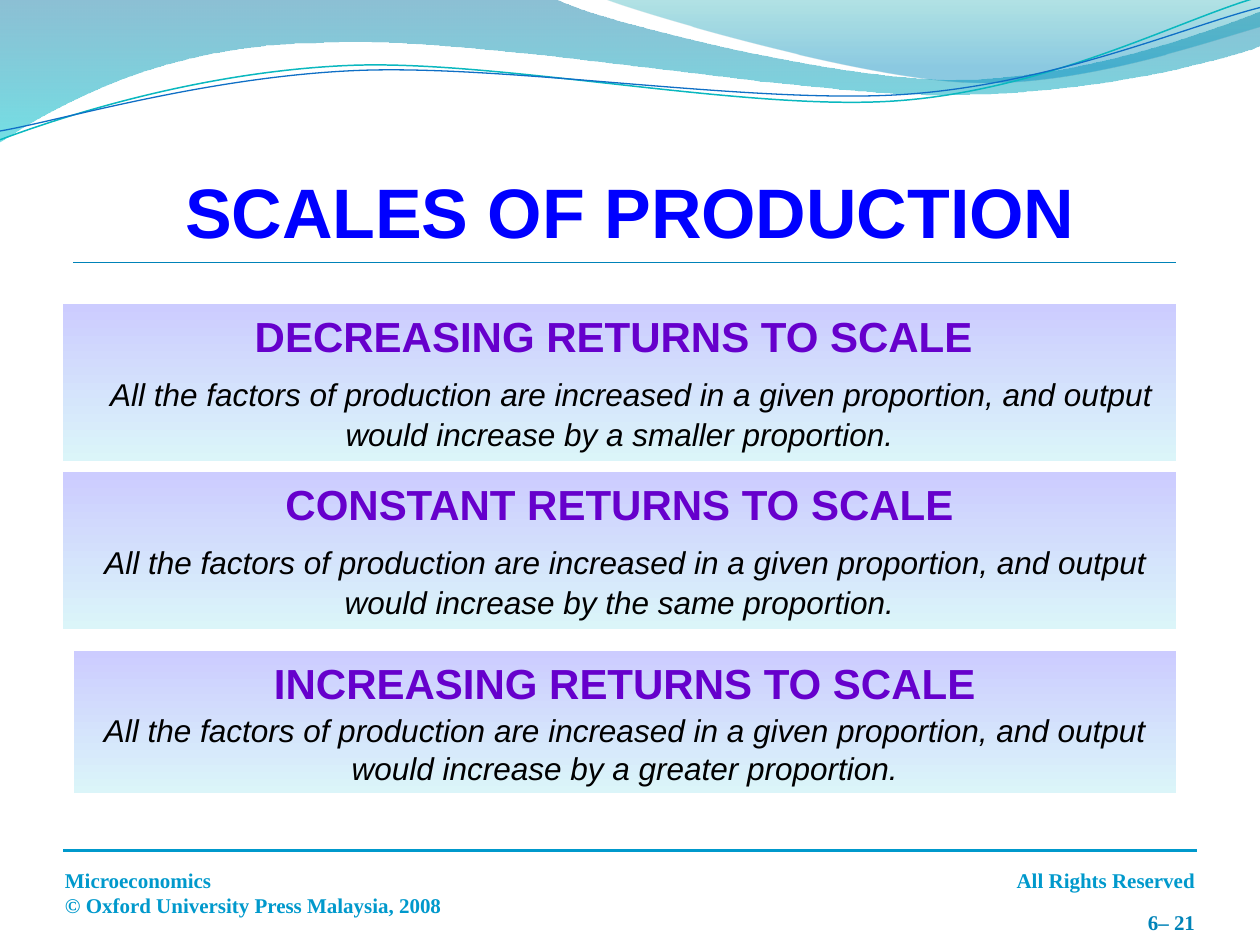
from lxml import etree
from pptx import Presentation
from pptx import util as u
from pptx.dml.color import RGBColor
from pptx.enum import shapes, text
from pptx.oxml.ns import qn

WIDTH, HEIGHT = 10, 7.5
GRID = 12  # columns and rows to the inch
COLORS = {
    "title": "0000FF", "heading": "6600CC", "body": "000000",
    "footer": "0099CC", "accent": "0083B8",
    "panel_top": "CCCCFF", "panel_bottom": "DBF5F9",
    "wave_blue": "0074A1", "wave_cyan": "00C6CF",
    "crest_teal": "00A1A9", "crest_blue": "008BBF",
    "line_teal": "0AB8BF", "line_blue": "0F6FC6",
}
LEFT, CENTER, RIGHT = text.PP_ALIGN.LEFT, text.PP_ALIGN.CENTER, text.PP_ALIGN.RIGHT

# Outlines in inches: a pair is a straight step, six numbers are a Bezier step.
WAVES = [
    ([(0, -0.01), (4.4, -0.01), (4.76, 0.17, 6.64, 0.63, 7.58, 0.63),
      (8.53, 0.63, 9.58, 0.26, 10, 0.09), (10.01, 0.36),
      (9.83, 0.44, 8.7, 0.76, 7.46, 0.75), (6.22, 0.75, 3.82, 0.28, 2.57, 0.34),
      (1.29, 0.35, 0.46, 0.83, -0.01, 1.13)],
     [(0, "wave_blue", 45), (1, "wave_cyan", 55)]),
    ([(4.79, -0.01), (5.09, 0.11, 6.82, 0.62, 7.69, 0.65),
      (8.56, 0.69, 9.61, 0.32, 10, 0.21), (10, 0)],
     [(0, "crest_teal", 30), (0.8, "crest_blue", 45)]),
]
RIPPLES = [
    ([(0, 1.11), (0.48, 0.93, 1.58, 0.57, 2.77, 0.52),
      (3.95, 0.47, 5.93, 0.89, 7.13, 0.8), (8.33, 0.71, 9.38, 0.15, 9.98, -0.02)],
     "line_teal", 0.85),
    ([(0, 1.04), (0.47, 0.96, 1.64, 0.61, 2.83, 0.56),
      (4.03, 0.51, 5.97, 0.83, 7.17, 0.75), (8.36, 0.67, 9.41, 0.21, 10, 0.06)],
     "line_blue", 0.75),
]
# first column, last column, row, colour, width in points
RULES = [(6, 114, 81, "footer", 1.25), (7, 112, 25, "accent", 0.75)]

FOOTER_FONT = {"name": "Times New Roman", "size": u.Pt(12), "bold": True}
TITLE_FONT = {"name": "Arial", "size": u.Pt(40), "bold": True}
HEADING_FONT = {"name": "Arial", "size": u.Pt(24), "bold": True}
BODY_FONT = {"name": "Arial", "size": u.Pt(18), "bold": False, "italic": True}
# column, row, columns wide, rows high
LABELS = [
    ((91, 82, 24, 3), ["All Rights Reserved"], RIGHT, FOOTER_FONT, "footer"),
    ((5, 82, 74, 6),
     ["Microeconomics", "© Oxford University Press Malaysia, 2008"],
     LEFT, FOOTER_FONT, "footer"),
    ((107.8, 86, 7.2, 3.6), ["6– 21"], RIGHT, FOOTER_FONT, "accent"),
]
TITLE = "SCALES OF PRODUCTION"
TITLE_BOX = (6, 15, 108, 9)

BODY = ("All the factors of production are increased in a given proportion, "
        "and output would increase by {} proportion.")
PANEL_RIGHT = 112
# column, row, rows high, heading, proportion, then points: space before, pitch, indent
PANELS = [
    (6, 29, 14.9, "DECREASING RETURNS TO SCALE ", "a smaller", 6.9, 22.9, 13.3),
    (6, 45, 14.9, "CONSTANT RETURNS TO SCALE", "the same", 6.9, 22.9, 6.7),
    (7, 62, 13.55, "INCREASING RETURNS TO SCALE", "a greater", 1.7, 21.7, 0),
]


def rgb(name):
    return RGBColor.from_string(COLORS[name])


def cells(*lengths):
    return [u.Inches(length / GRID) for length in lengths]


def add_outline(slide, steps, close):
    """Build the outline from its anchors, then bend the Bezier steps."""
    anchors = [(u.Inches(step[-2]), u.Inches(step[-1])) for step in steps]
    builder = slide.shapes.build_freeform(*anchors[0])
    builder.add_line_segments(anchors[1:], close=close)
    shape = builder.convert_to_shape()
    shape.shadow.inherit = False
    segments = list(shape._element.iter(qn("a:lnTo")))
    for segment, step in zip(segments, steps[1:]):
        if len(step) == 6:
            segment.tag = qn("a:cubicBezTo")
            for index, (x, y) in enumerate((step[:2], step[2:4])):
                point = etree.Element(qn("a:pt"), x=str(u.Inches(x) - shape.left),
                                      y=str(u.Inches(y) - shape.top))
                segment.insert(index, point)
    return shape


def fill_gradient(shape, stops):
    """Fill from top to bottom; each stop is position, colour, opacity in percent."""
    shape.line.fill.background()
    shape.fill.gradient()
    shape.fill.gradient_angle = 270
    for stop, (position, color, _) in zip(shape.fill.gradient_stops, stops):
        stop.position = position
        stop.color.rgb = rgb(color)
    for element, (_, _, opacity) in zip(shape._element.spPr.iter(qn("a:srgbClr")), stops):
        if opacity < 100:
            etree.SubElement(element, qn("a:alpha"), val=str(opacity * 1000))


def set_line(shape, color, width):
    shape.line.color.rgb = rgb(color)
    shape.line.width = u.Pt(width)


def write(paragraph, words, alignment, font, color):
    paragraph.alignment = alignment
    run = paragraph.add_run()
    run.text = words
    for key, value in font.items():
        setattr(run.font, key, value)
    run.font.color.rgb = rgb(color)


def add_label(slide, box, lines, alignment, font, color):
    frame = slide.shapes.add_textbox(*cells(*box)).text_frame
    frame.word_wrap = True
    for index, words in enumerate(lines):
        paragraph = frame.add_paragraph() if index else frame.paragraphs[0]
        write(paragraph, words, alignment, font, color)
    return frame


def add_panel(slide, left, top, height, heading, proportion, space, pitch, indent):
    box = cells(left, top, PANEL_RIGHT - left, height)
    shape = slide.shapes.add_shape(shapes.MSO_SHAPE.RECTANGLE, *box)
    shape.shadow.inherit = False
    fill_gradient(shape, [(0, "panel_top", 100), (1, "panel_bottom", 100)])
    frame = shape.text_frame
    frame.word_wrap = True
    frame.vertical_anchor = text.MSO_ANCHOR.TOP
    first, second = frame.paragraphs[0], frame.add_paragraph()
    write(first, heading, CENTER, HEADING_FONT, "heading")
    first.line_spacing = u.Pt(28.8)
    write(second, BODY.format(proportion), CENTER, BODY_FONT, "body")
    second.space_before = u.Pt(space)
    second.line_spacing = u.Pt(pitch)
    second._p.get_or_add_pPr().set("indent", str(int(u.Pt(indent))))


def main():
    presentation = Presentation()
    presentation.slide_width, presentation.slide_height = u.Inches(WIDTH), u.Inches(HEIGHT)
    slide = presentation.slides.add_slide(presentation.slide_layouts[6])

    for steps, stops in WAVES:
        fill_gradient(add_outline(slide, steps, True), stops)
    for steps, color, width in RIPPLES:
        ripple = add_outline(slide, steps, False)
        ripple.fill.background()
        set_line(ripple, color, width)
    for left, right, row, color, width in RULES:
        ends = cells(left, row, right, row)
        rule = slide.shapes.add_connector(shapes.MSO_CONNECTOR.STRAIGHT, *ends)
        set_line(rule, color, width)
        etree.SubElement(rule._element.spPr, qn("a:effectLst"))
    for label in LABELS:
        add_label(slide, *label)

    title = add_label(slide, TITLE_BOX, [TITLE], CENTER, TITLE_FONT, "title")
    title.vertical_anchor = text.MSO_ANCHOR.BOTTOM
    title.margin_left = title.margin_right = title.margin_bottom = 0
    for panel in PANELS:
        add_panel(slide, *panel)
    presentation.save("out.pptx")


if __name__ == "__main__":
    main()
